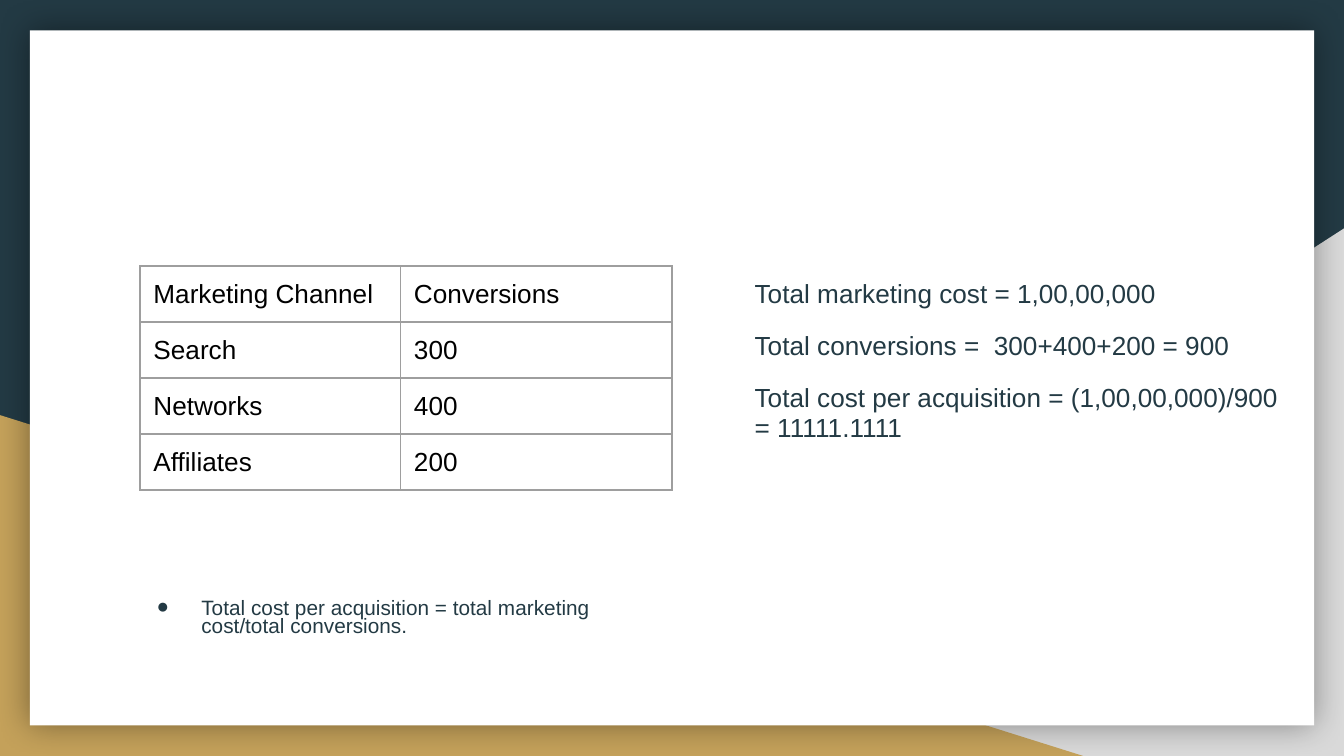
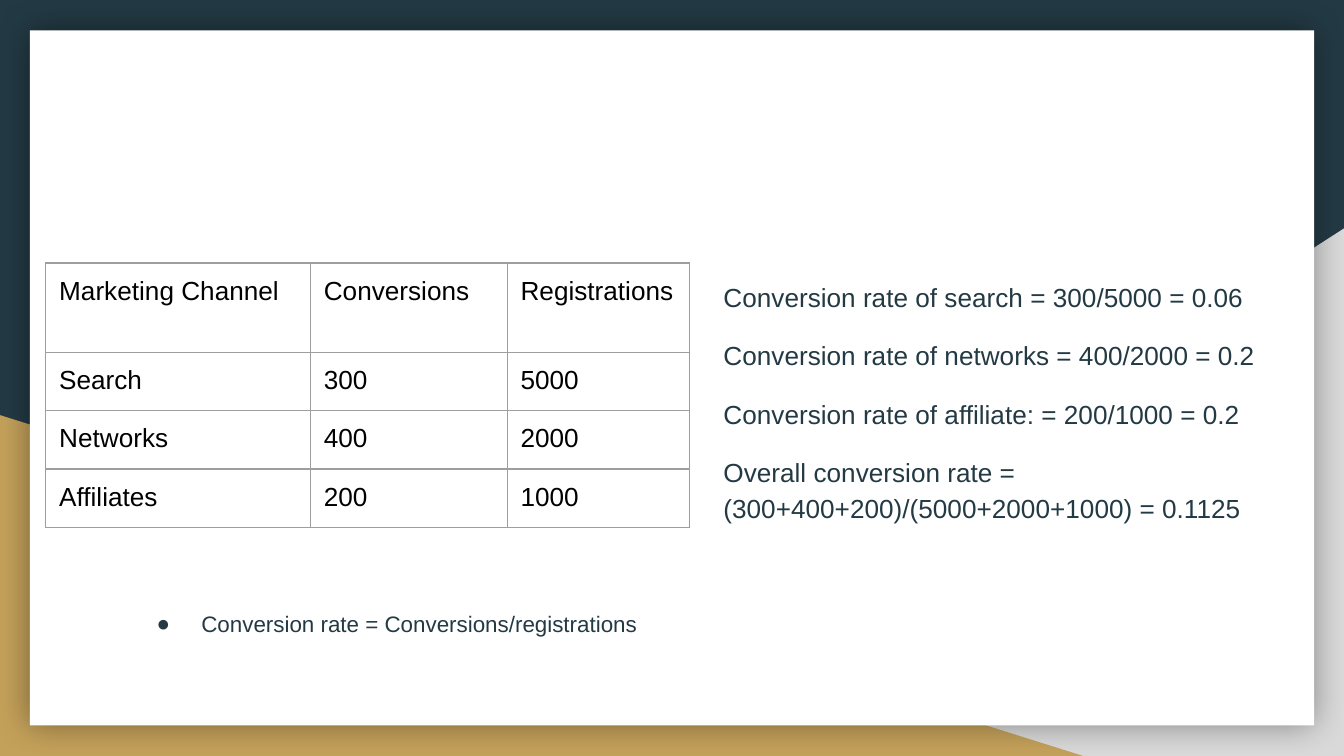
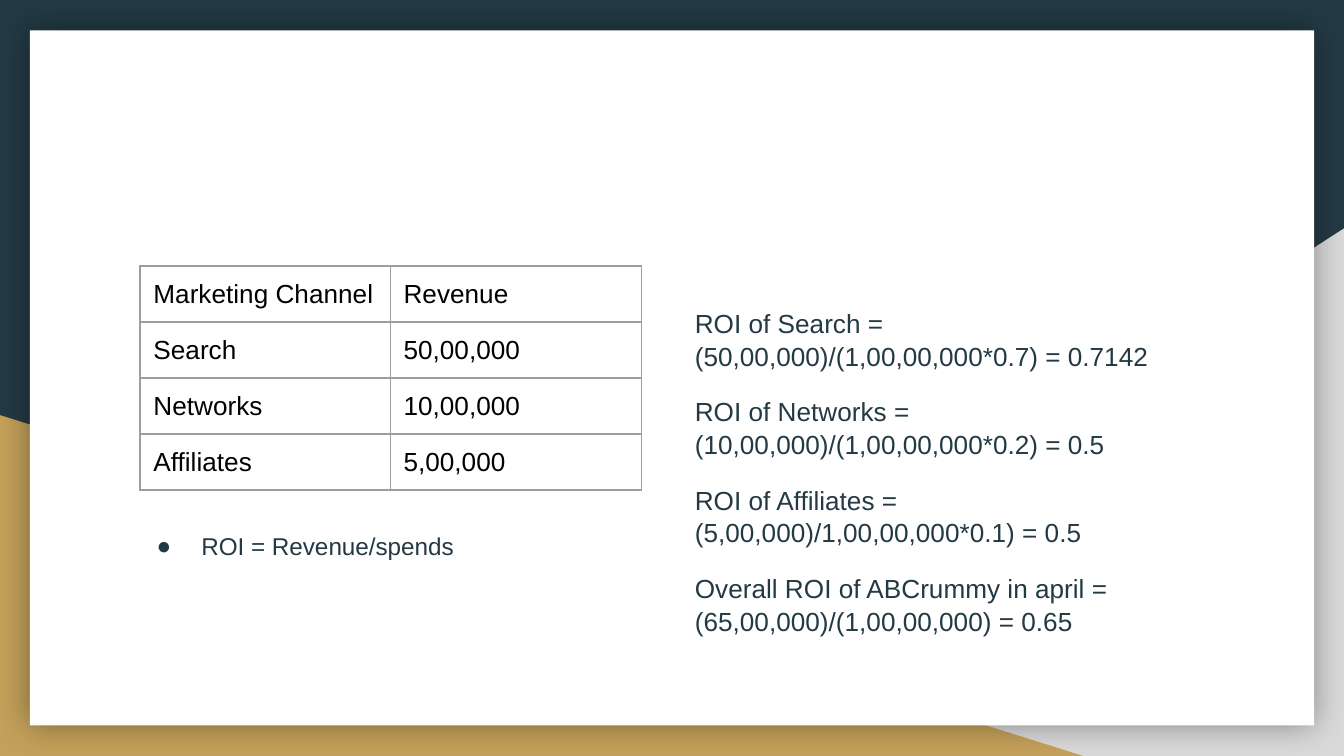
from dataclasses import dataclass

import pptx
import pptx.dml.color
import pptx.enum.shapes
import pptx.oxml
import pptx.oxml.ns
import pptx.util

Pt = pptx.util.Pt
SHAPES = pptx.enum.shapes.MSO_SHAPE

FONT = "Arial"
NAVY, GREY, GOLD = "233A44", "D9D9D9", "C4A15A"
WHITE, BLACK, RULE = "FFFFFF", "000000", "9E9E9E"
INSET = 7.2
CELL_BOTTOM_INSET = 5
BODY_SIZE = 14
PARA_GAP = 12
NS = pptx.oxml.ns.nsdecls("a")


@dataclass
class Box:
    left: float
    top: float
    width: float
    height: float


@dataclass
class Decor:
    shape: SHAPES
    box: Box
    fill: str
    flipped: bool = False
    shadowed: bool = False


@dataclass
class Grid:
    left: float
    top: float
    col_widths: list[float]
    row_heights: list[float]
    rows: list[list[str]]


@dataclass
class Formula:
    text: str
    size: float
    spacing: float
    top: float


@dataclass
class Working:
    box: Box
    spacing: float
    lines: list[str]


@dataclass
class Page:
    formula: Formula
    working: Working
    grid: Grid


DECOR = [
    Decor(SHAPES.RIGHT_TRIANGLE, Box(282.25, 122.4, 437.75, 282.6), GREY, flipped=True),
    Decor(SHAPES.RIGHT_TRIANGLE, Box(0, 222.4, 580.3, 182.6), GOLD),
    Decor(SHAPES.RECTANGLE, Box(16, 16.3, 688, 372.4), WHITE, shadowed=True),
]
FORMULA_LEFT, FORMULA_WIDTH, FORMULA_BOTTOM = 64.8, 290.2, 350

PAGES = [
    Page(
        Formula("Total cost per acquisition = total marketing cost/total conversions.",
                11.1, 0.75, 314.3),
        Working(Box(397.2, 142.6, 298, 218.2), 0.95, [
            "Total marketing cost = 1,00,00,000",
            "Total conversions =  300+400+200 = 900",
            "Total cost per acquisition = (1,00,00,000)/900 = 11111.1111",
        ]),
        Grid(75, 142.5, [139.6, 145.4], [30] * 4, [
            ["Marketing Channel", "Conversions"],
            ["Search", "300"],
            ["Networks", "400"],
            ["Affiliates", "200"],
        ]),
    ),
    Page(
        Formula("Conversion rate = Conversions/registrations", 12, 1.05, 319.2),
        Working(Box(380.5, 141, 314.6, 264), 1.15, [
            "Conversion rate of search = 300/5000 = 0.06",
            "Conversion rate of networks = 400/2000 = 0.2",
            "Conversion rate of affiliate: = 200/1000 = 0.2",
            "Overall conversion rate = (300+400+200)/(5000+2000+1000) = 0.1125",
        ]),
        Grid(24.5, 140.9, [141.8, 105.4, 97.8], [47.8] + [31.3] * 3, [
            ["Marketing Channel", "Conversions", "Registrations"],
            ["Search", "300", "5000"],
            ["Networks", "400", "2000"],
            ["Affiliates", "200", "1000"],
        ]),
    ),
    Page(
        Formula("ROI = Revenue/spends", 13, 1.15, 275.3),
        Working(Box(365.2, 156.7, 290.2, 193), 1.05, [
            "ROI of Search = (50,00,000)/(1,00,00,000*0.7) = 0.7142",
            "ROI of Networks = (10,00,000)/(1,00,00,000*0.2) = 0.5",
            "ROI of Affiliates = (5,00,000)/1,00,00,000*0.1) = 0.5",
            "Overall ROI of ABCrummy in april = (65,00,000)/(1,00,00,000) = 0.65",
        ]),
        Grid(75, 142.5, [134, 134.7], [30] * 4, [
            ["Marketing Channel", "Revenue"],
            ["Search", "50,00,000"],
            ["Networks", "10,00,000"],
            ["Affiliates", "5,00,000"],
        ]),
    ),
]


def rgb(color: str) -> pptx.dml.color.RGBColor:
    return pptx.dml.color.RGBColor.from_string(color)


def place(box: Box) -> list[pptx.util.Length]:
    return [Pt(v) for v in (box.left, box.top, box.width, box.height)]


def set_insets(target, bottom: float = INSET) -> None:
    """Set the margins of a text frame or a table cell."""
    target.margin_left = target.margin_right = target.margin_top = Pt(INSET)
    target.margin_bottom = Pt(bottom)


def add_run(p, text: str, size: float, color: str) -> None:
    r = p.add_run()
    r.text = text
    r.font.name = FONT
    r.font.size = Pt(size)
    r.font.color.rgb = rgb(color)


def add_decor(slide, decor: Decor) -> None:
    sp = slide.shapes.add_shape(decor.shape, *place(decor.box))
    sp.fill.solid()
    sp.fill.fore_color.rgb = rgb(decor.fill)
    sp.line.fill.background()
    sp.shadow.inherit = False
    if decor.flipped:
        sp.element.spPr.xfrm.set("flipH", "1")
    if decor.shadowed:
        effects = sp.element.spPr.find(pptx.oxml.ns.qn("a:effectLst"))
        effects.append(pptx.oxml.parse_xml(
            f'<a:outerShdw {NS} blurRad="{Pt(18)}" dist="0" dir="0" algn="ctr" rotWithShape="0">'
            f'<a:srgbClr val="{BLACK}"><a:alpha val="40000"/></a:srgbClr></a:outerShdw>'))


def add_text_frame(slide, box: Box):
    tf = slide.shapes.add_textbox(*place(box)).text_frame
    tf.word_wrap = True
    set_insets(tf)
    return tf


def add_bullet(p) -> None:
    pPr = p._p.get_or_add_pPr()
    pPr.set("marL", str(Pt(36)))
    pPr.set("indent", str(Pt(-24)))
    for xml in (f'<a:buClr {NS}><a:srgbClr val="{NAVY}"/></a:buClr>',
                f'<a:buFont {NS} typeface="{FONT}"/>',
                f'<a:buChar {NS} char="●"/>'):
        pPr.append(pptx.oxml.parse_xml(xml))


def add_formula(slide, formula: Formula) -> None:
    box = Box(FORMULA_LEFT, formula.top, FORMULA_WIDTH, FORMULA_BOTTOM - formula.top)
    p = add_text_frame(slide, box).paragraphs[0]
    p.line_spacing = formula.spacing
    add_bullet(p)
    add_run(p, formula.text, formula.size, NAVY)


def add_working(slide, working: Working) -> None:
    tf = add_text_frame(slide, working.box)
    for i, line in enumerate(working.lines):
        p = tf.add_paragraph() if i else tf.paragraphs[0]
        p.line_spacing = working.spacing
        if i:
            p.space_before = Pt(PARA_GAP)
        add_run(p, line, BODY_SIZE, NAVY)


def add_borders(cell) -> None:
    tcPr = cell._tc.get_or_add_tcPr()
    for side in ("lnL", "lnR", "lnT", "lnB"):
        tcPr.append(pptx.oxml.parse_xml(
            f'<a:{side} {NS} w="{Pt(0.75)}"><a:solidFill><a:srgbClr val="{RULE}"/>'
            f'</a:solidFill></a:{side}>'))


def add_grid(slide, grid: Grid) -> None:
    box = Box(grid.left, grid.top, sum(grid.col_widths), sum(grid.row_heights))
    table = slide.shapes.add_table(
        len(grid.rows), len(grid.col_widths), *place(box)).table
    table.first_row = table.horz_banding = False
    for column, width in zip(table.columns, grid.col_widths):
        column.width = Pt(width)
    for row, height, texts in zip(table.rows, grid.row_heights, grid.rows):
        row.height = Pt(height)
        for cell, text in zip(row.cells, texts):
            set_insets(cell, CELL_BOTTOM_INSET)
            add_borders(cell)
            cell.fill.background()
            add_run(cell.text_frame.paragraphs[0], text, BODY_SIZE, BLACK)


def main() -> None:
    prs = pptx.Presentation()
    prs.slide_width, prs.slide_height = Pt(720), Pt(405)
    background = prs.slide_master.background.fill
    background.solid()
    background.fore_color.rgb = rgb(NAVY)
    for page in PAGES:
        slide = prs.slides.add_slide(prs.slide_layouts[6])
        for decor in DECOR:
            add_decor(slide, decor)
        add_formula(slide, page.formula)
        add_working(slide, page.working)
        add_grid(slide, page.grid)
    prs.save("out.pptx")


if __name__ == "__main__":
    main()
